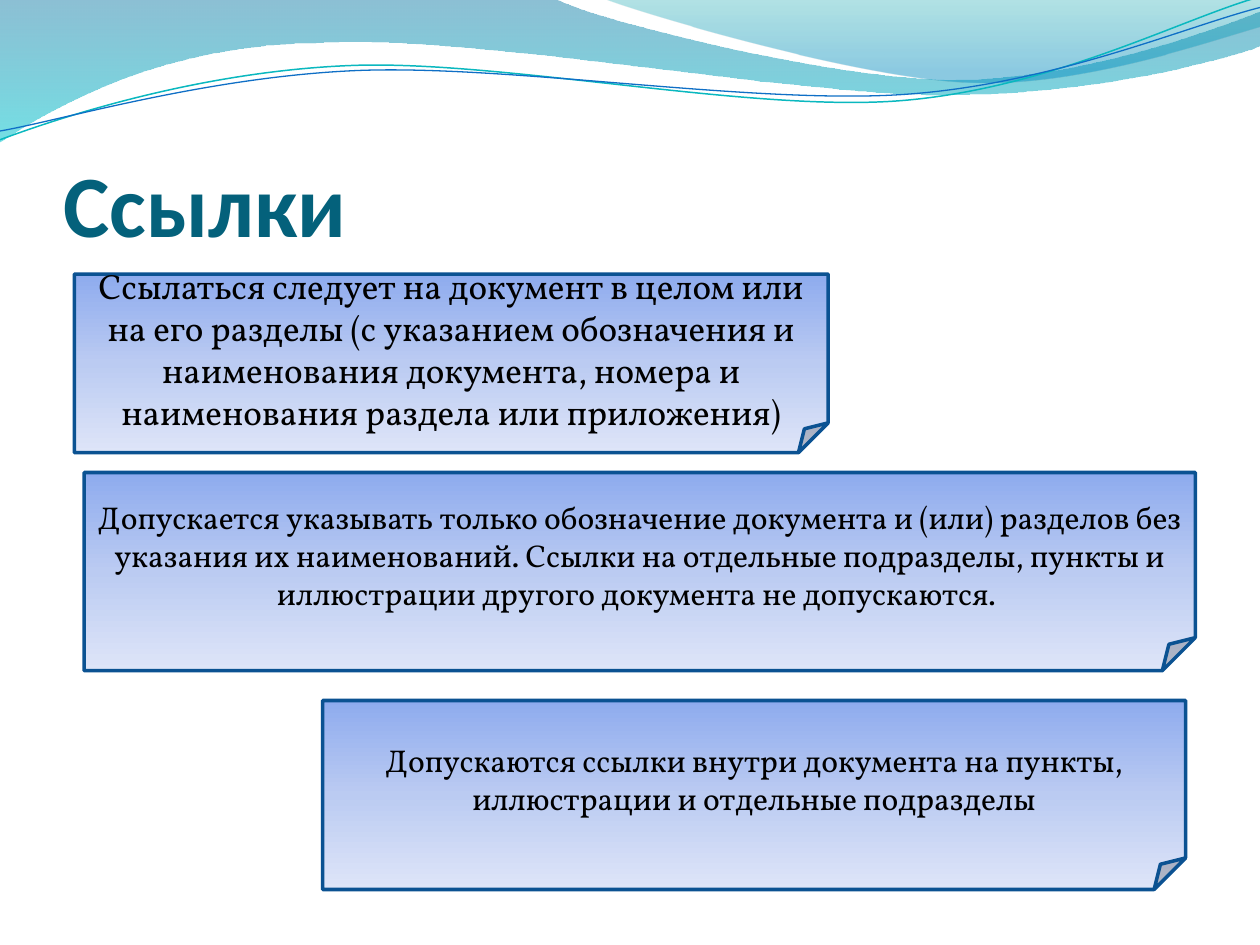
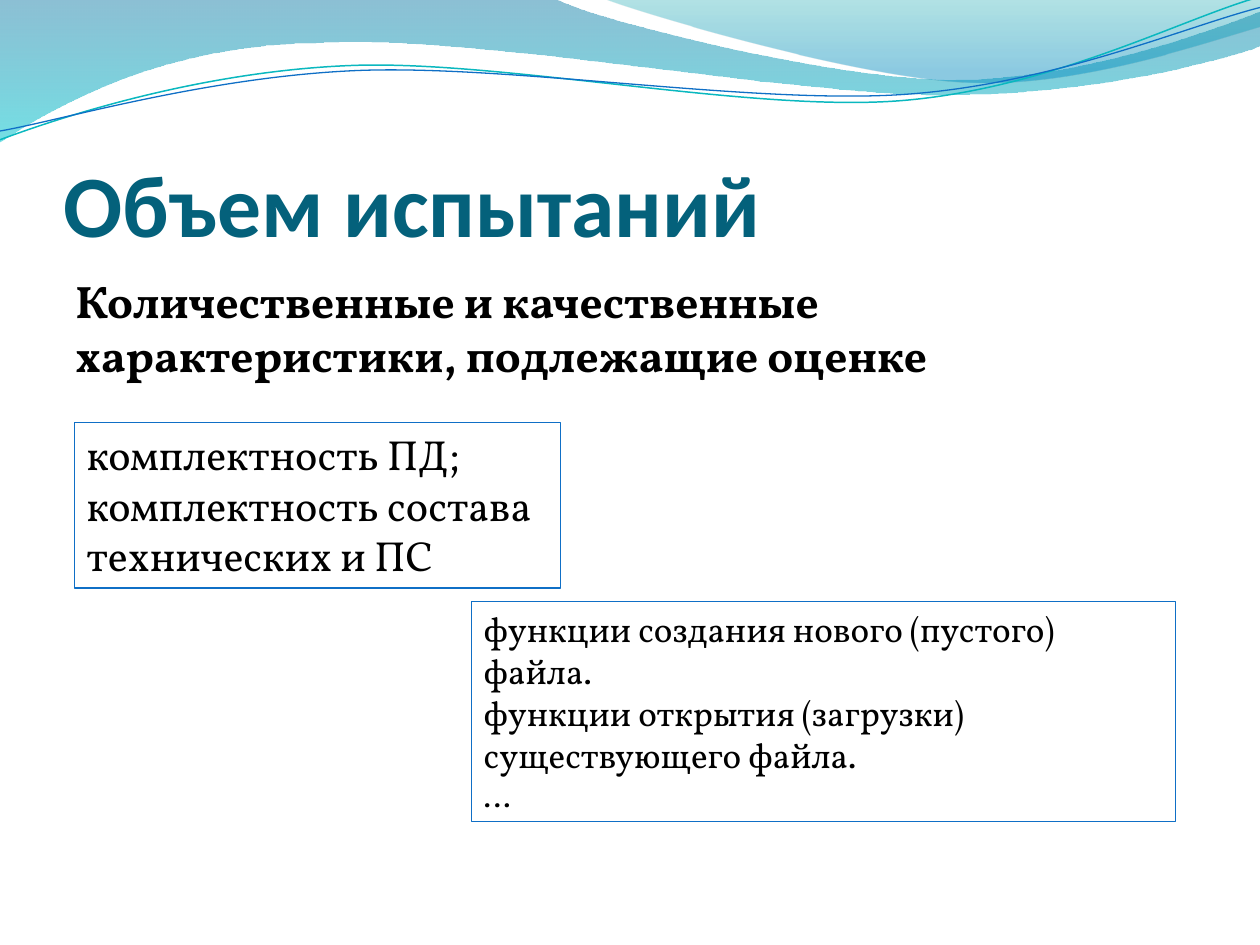
from dataclasses import dataclass

from lxml import etree
from pptx import Presentation
from pptx.dml.color import RGBColor
from pptx.enum.shapes import MSO_SHAPE
from pptx.enum.text import MSO_ANCHOR, MSO_AUTO_SIZE, PP_ALIGN
from pptx.oxml.ns import qn
from pptx.util import Inches, Pt

FOLDED, RECTANGLE = MSO_SHAPE.FOLDED_CORNER, MSO_SHAPE.RECTANGLE
TOP, MIDDLE, BOTTOM = MSO_ANCHOR.TOP, MSO_ANCHOR.MIDDLE, MSO_ANCHOR.BOTTOM
LEFT, CENTER = PP_ALIGN.LEFT, PP_ALIGN.CENTER
GROW = MSO_AUTO_SIZE.SHAPE_TO_FIT_TEXT

# The slide is a grid of square cells.
COLUMNS, ROWS = 100, 75
CELL = Inches(0.1)
BLANK_LAYOUT = 6
TITLE_FONT, BODY_FONT = "Calibri", "Vollkorn"

COLORS = {
    "title": "04617B",
    "text": "000000",
    "note_top": "8EABEE",
    "note_middle": "BBCBF2",
    "note_bottom": "DEE5F8",
    "note_border": "0B5292",
    "blue": "0F6FC6",
    "teal": "0AB8BF",
    "wave_deep": "0074A1",
    "wave_aqua": "00C6CF",
    "crest_green": "00A1A9",
    "crest_blue": "008BBF",
}

Point = tuple[float, float]


@dataclass(frozen=True)
class Stop:
    """A gradient stop; position and opacity are percentages."""
    position: int
    color: str
    opacity: int = 100


@dataclass(frozen=True)
class Wave:
    """Segments hold one point for a line, three for a Bezier curve."""
    start: Point
    segments: tuple[tuple[Point, ...], ...]
    stops: tuple[Stop, ...] = ()
    line_color: str = ""
    line_width: float = 0
    rotation: float = 0


@dataclass(frozen=True)
class Area:
    left: float
    top: float
    width: float
    height: float

    def emu(self) -> list[int]:
        return [round(side * CELL) for side in (self.left, self.top, self.width, self.height)]


@dataclass(frozen=True)
class Line:
    text: str
    size: int
    bold: bool = False
    font: str = BODY_FONT
    color: str = "text"


@dataclass(frozen=True)
class Panel:
    """A bordered shape with text."""
    area: Area
    lines: tuple[Line, ...]


THREAD_TILT = 357.3
WAVES = (
    Wave(
        (0, -0.1),
        (
            ((44, -0.1),),
            ((47.6, 1.7), (66.4, 6.3), (75.8, 6.3)),
            ((85.3, 6.3), (95.8, 2.6), (100, 0.9)),
            ((100.1, 3.6),),
            ((98.3, 4.4), (87, 7.6), (74.6, 7.5)),
            ((62.2, 7.5), (38.2, 2.8), (25.7, 3.4)),
            ((12.9, 3.5), (4.6, 8.3), (-0.1, 11.3)),
        ),
        stops=(Stop(0, "wave_deep", 45), Stop(100, "wave_aqua", 55)),
    ),
    Wave(
        (47.9, -0.1),
        (
            ((50.9, 1.1), (68.2, 6.2), (76.9, 6.5)),
            ((85.6, 6.9), (96.1, 3.2), (100, 2.1)),
            ((100, 0),),
        ),
        stops=(Stop(0, "crest_green", 30), Stop(80, "crest_blue", 45)),
    ),
    Wave(
        (-0.2, 8.74),
        (
            ((4.68, 7.17), (15.84, 4.09), (27.75, 4.16)),
            ((39.56, 4.21), (59.14, 9.34), (71.17, 9.01)),
            ((83.2, 8.67), (93.95, 3.57), (100.03, 2.16)),
        ),
        line_color="teal", line_width=0.85, rotation=THREAD_TILT,
    ),
    Wave(
        (-0.16, 8.04),
        (
            ((4.58, 7.46), (16.43, 4.52), (28.34, 4.58)),
            ((40.35, 4.65), (59.58, 8.76), (71.6, 8.52)),
            ((83.53, 8.28), (94.23, 4.18), (100.19, 2.96)),
        ),
        line_color="blue", line_width=0.75, rotation=THREAD_TILT,
    ),
)

TITLE_AREA = Area(5.04, 7.7, 90, 12.5)
LEAD_AREA = Area(5, 21.17, 90, 48)
LEAD = Line("Количественные и качественные характеристики, подлежащие оценке", 26, bold=True)

NOTE_STOPS = (Stop(0, "note_top"), Stop(50, "note_middle"), Stop(100, "note_bottom"))
REFERENCE_NOTES = (
    Panel(Area(5.9, 21.75, 59.83, 14.17), (
        Line("Ссылаться следует на документ в целом или на его разделы (с указанием обозначения "
             "и наименования документа, номера и наименования раздела или приложения)", 20),
    )),
    Panel(Area(6.67, 37.5, 88.2, 15.73), (
        Line("Допускается указывать только обозначение документа и (или) разделов без указания "
             "их наименований. Ссылки на отдельные подразделы, пункты и иллюстрации другого "
             "документа не допускаются. ", 18),
    )),
    Panel(Area(25.6, 55.6, 68.5, 15), (
        Line("Допускаются ссылки внутри документа на пункты, иллюстрации и отдельные подразделы", 18),
    )),
)
TEST_LISTS = (
    Panel(Area(5.9, 33.55, 38.6, 13.13), (
        Line("комплектность ПД;", 24),
        Line("комплектность состава технических и ПС", 24),
    )),
    Panel(Area(37.4, 47.73, 55.9, 17.5), (
        Line("функции создания нового (пустого) файла.", 20),
        Line("функции открытия (загрузки) существующего файла.", 20),
        Line("…", 18),
    )),
)


def rgb(name: str) -> RGBColor:
    return RGBColor.from_string(COLORS[name])


def fill_downwards(shape, stops: tuple[Stop, ...]) -> None:
    """Fill with a gradient running from top to bottom."""
    shape.fill.gradient()
    shape.fill.gradient_angle = 270
    stop_list = shape.element.spPr.find(qn("a:gradFill")).find(qn("a:gsLst"))
    for default_stop in list(stop_list):
        stop_list.remove(default_stop)
    for stop in stops:
        node = etree.SubElement(stop_list, qn("a:gs"), pos=str(stop.position * 1000))
        color = etree.SubElement(node, qn("a:srgbClr"), val=COLORS[stop.color])
        if stop.opacity < 100:
            etree.SubElement(color, qn("a:alpha"), val=str(stop.opacity * 1000))


def set_outline(shape, color: str, width: float) -> None:
    shape.line.color.rgb = rgb(color)
    shape.line.width = Pt(width)


def bend(shape, segments: tuple[tuple[Point, ...], ...]) -> None:
    """Turn each run of three lines that stands for a curve into a Bezier curve."""
    line_nodes = iter(list(shape.element.spPr.iter(qn("a:lnTo"))))
    for segment in segments:
        nodes = [next(line_nodes) for _ in segment]
        if len(nodes) == 3:
            curve = etree.Element(qn("a:cubicBezTo"))
            nodes[0].addprevious(curve)
            for node in nodes:
                curve.append(node[0])
                node.getparent().remove(node)


def draw_wave(page, wave: Wave):
    points = [wave.start, *(point for segment in wave.segments for point in segment)]
    start, *rest = [(x * CELL, y * CELL) for x, y in points]
    builder = page.shapes.build_freeform(*start)
    builder.add_line_segments(rest, close=bool(wave.stops))
    shape = builder.convert_to_shape()
    bend(shape, wave.segments)
    shape.rotation = wave.rotation
    shape.shadow.inherit = False
    if wave.stops:
        fill_downwards(shape, wave.stops)
        shape.line.fill.background()
    else:
        shape.fill.background()
        set_outline(shape, wave.line_color, wave.line_width)
    return shape


def decorate_layout(page) -> None:
    """Clear the page's layout and move the waves to it, so every slide shows them."""
    layout = page.slide_layout
    for placeholder in list(layout.placeholders):
        layout.shapes.element.remove(placeholder.element)
    for shape in [draw_wave(page, wave) for wave in WAVES]:
        layout.shapes.element.append(shape.element)


def write(frame, lines: tuple[Line, ...], anchor=TOP, align=LEFT) -> None:
    frame.word_wrap = True
    frame.vertical_anchor = anchor
    for index, line in enumerate(lines):
        para = frame.add_paragraph() if index else frame.paragraphs[0]
        para.text = line.text
        para.alignment = align
        para.font.name = line.font
        para.font.size = Pt(line.size)
        para.font.bold = line.bold
        para.font.color.rgb = rgb(line.color)


def add_panel(page, panel: Panel, preset, border: str, width: float):
    shape = page.shapes.add_shape(preset, *panel.area.emu())
    shape.shadow.inherit = False
    set_outline(shape, border, width)
    return shape


def draw_note(page, note: Panel) -> None:
    shape = add_panel(page, note, FOLDED, "note_border", 2)
    fill_downwards(shape, NOTE_STOPS)
    write(shape.text_frame, note.lines, MIDDLE, CENTER)


def draw_list(page, panel: Panel) -> None:
    shape = add_panel(page, panel, RECTANGLE, "blue", 0.75)
    shape.fill.background()
    write(shape.text_frame, panel.lines)
    shape.text_frame.auto_size = GROW


def add_page(deck, title: str):
    page = deck.slides.add_slide(deck.slide_layouts[BLANK_LAYOUT])
    frame = page.shapes.add_textbox(*TITLE_AREA.emu()).text_frame
    frame.margin_left = frame.margin_right = frame.margin_bottom = 0
    write(frame, (Line(title, 50, True, TITLE_FONT, "title"),), BOTTOM)
    return page


def main() -> None:
    deck = Presentation()
    deck.slide_width, deck.slide_height = COLUMNS * CELL, ROWS * CELL

    references = add_page(deck, "Ссылки")
    decorate_layout(references)
    for note in REFERENCE_NOTES:
        draw_note(references, note)

    tests = add_page(deck, "Объем испытаний")
    write(tests.shapes.add_textbox(*LEAD_AREA.emu()).text_frame, (LEAD,))
    for panel in TEST_LISTS:
        draw_list(tests, panel)

    deck.save("out.pptx")


if __name__ == "__main__":
    main()
